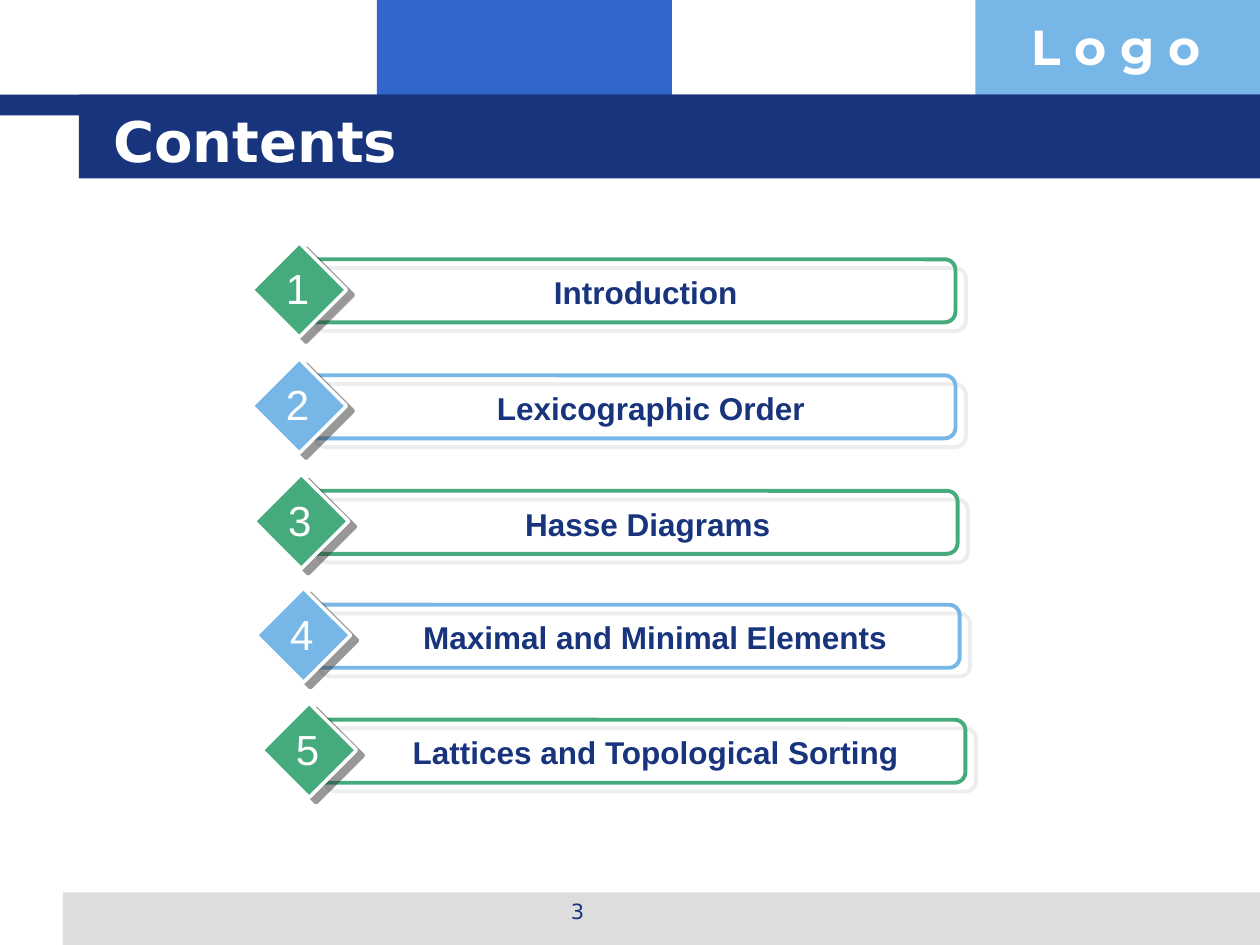
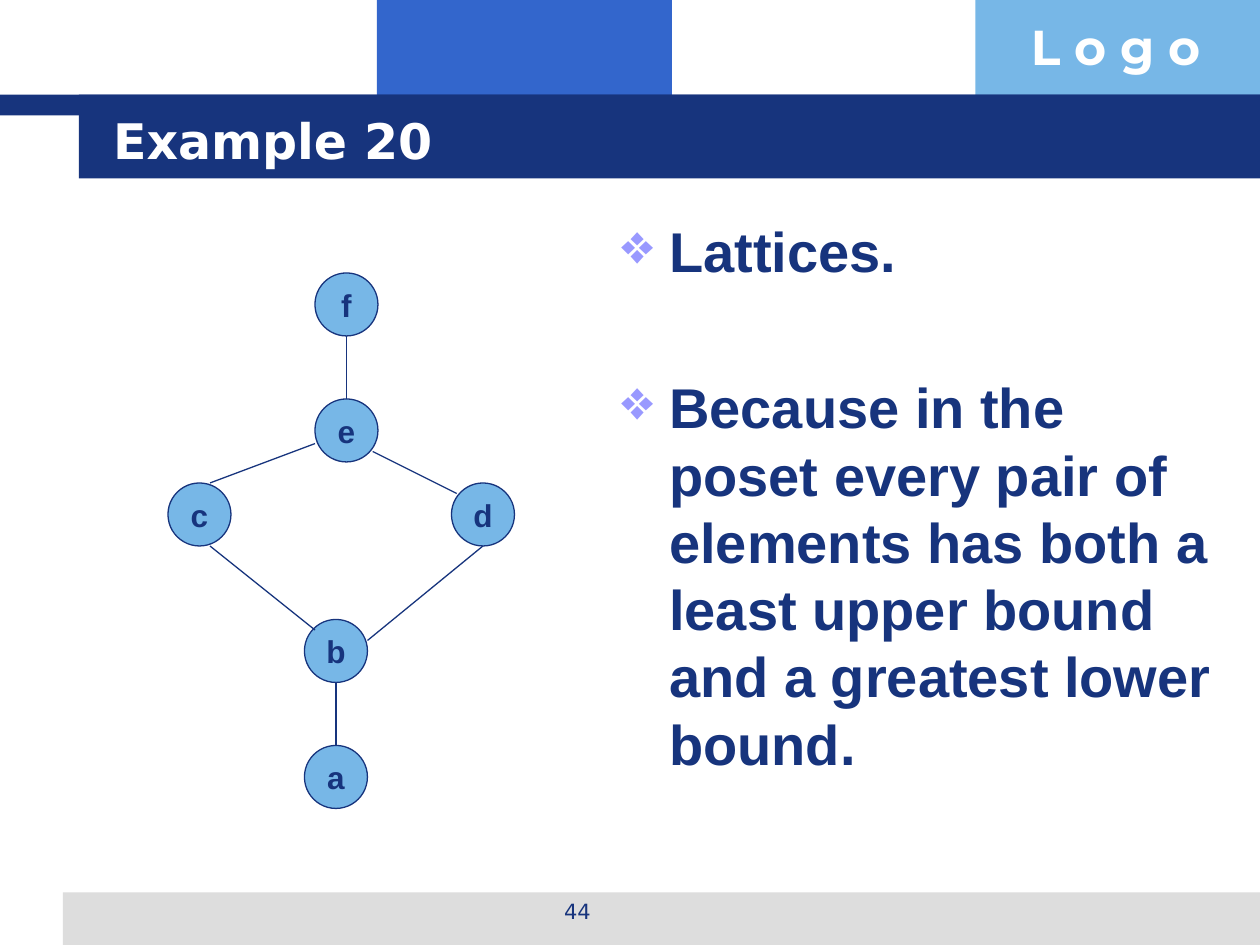
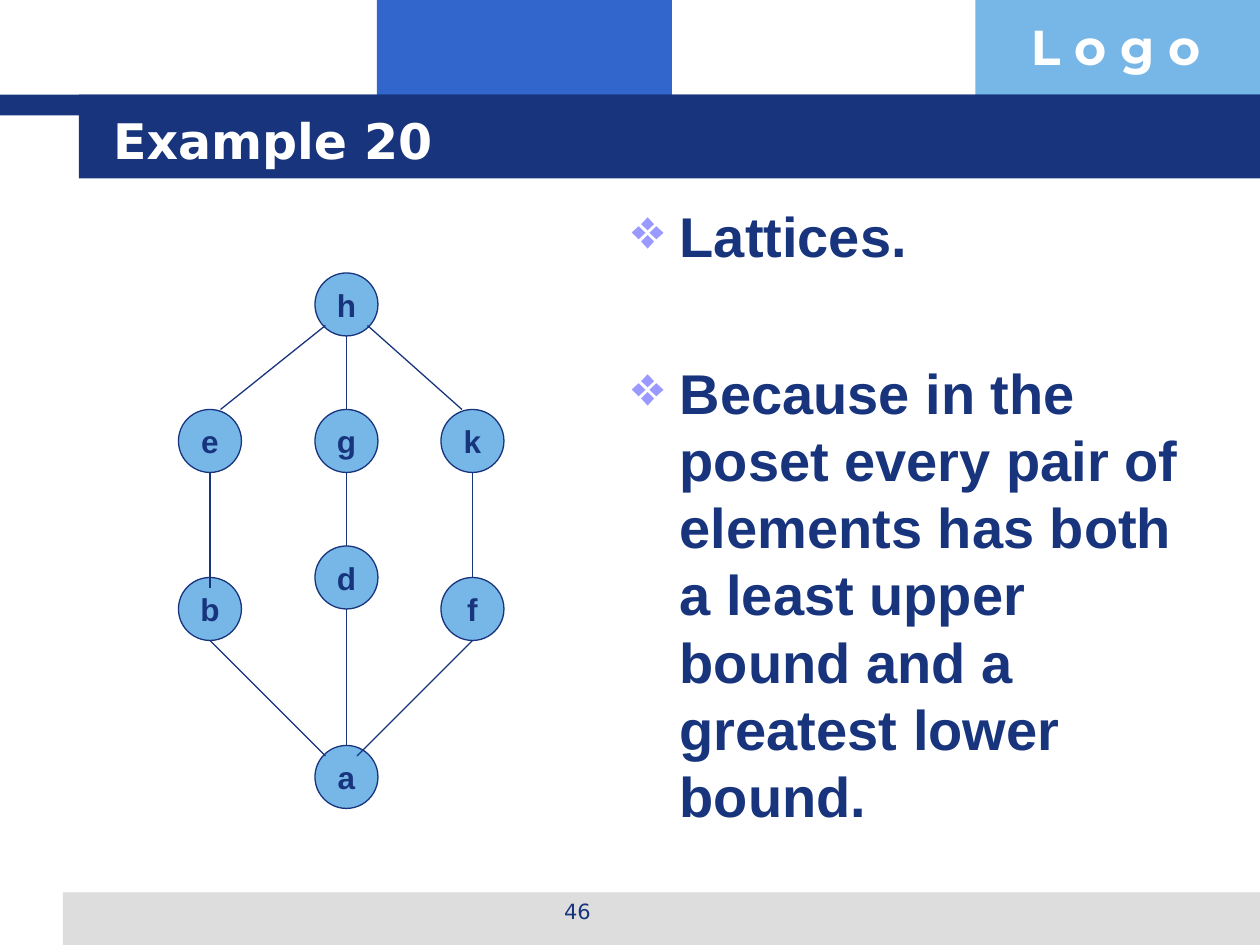
from dataclasses import dataclass
from typing import Any

from lxml import etree
from pptx import Presentation
from pptx import shapes as sh
from pptx import slide as sl
from pptx import util as u
from pptx.dml.color import RGBColor
from pptx.enum import shapes, text
from pptx.oxml import ns

NAVY = RGBColor(0x17, 0x34, 0x7D)
BLUE = RGBColor(0x33, 0x66, 0xCC)
SKY = RGBColor(0x77, 0xB7, 0xE7)
GREEN = RGBColor(0x45, 0xAB, 0x7D)
GREY = RGBColor(0xDD, 0xDD, 0xDD)
DARK = RGBColor(0x33, 0x33, 0x33)
LILAC = RGBColor(0x99, 0x99, 0xFF)
WHITE = RGBColor(0xFF, 0xFF, 0xFF)

WIDE, HIGH = u.Inches(10), u.Inches(7.5)
COLS, ROWS = 120, 90
NODE = 6
KIND = shapes.MSO_SHAPE
MID = text.MSO_ANCHOR.MIDDLE
CENTER = text.PP_ALIGN.CENTER
HEAD, SANS, MARK = "DejaVu Sans", "Arial", "Montserrat"


@dataclass(frozen=True)
class Box:
    left: float
    top: float
    width: float
    height: float

    def emu(self) -> list[int]:
        return [across(self.left), down(self.top),
                across(self.width), down(self.height)]


@dataclass(frozen=True)
class Type:
    size: float
    name: str = SANS
    color: RGBColor = NAVY
    bold: bool = True
    align: Any = None


@dataclass(frozen=True)
class Shade:
    color: RGBColor
    dist: float
    angle: int


@dataclass(frozen=True)
class Item:
    left: float
    top: float
    label: str


@dataclass(frozen=True)
class Node:
    label: str
    left: float
    top: float


@dataclass(frozen=True)
class Graph:
    page: int
    body: Box
    nodes: list[Node]
    edges: list[tuple[float, float, float, float]]


BANDS = [
    (Box(35.9, 0, 28.1, 11), BLUE),
    (Box(92.9, 0, 27.1, 11), SKY),
    (Box(6, 85, 114, 5), GREY),
    (Box(0, 9, 120, 2), NAVY),
    (Box(7.5, 9, 112.5, 8), NAVY),
]
ITEMS = [
    Item(29, 24.7, "Introduction"),
    Item(29, 35.75, "Lexicographic Order"),
    Item(29.2, 46.75, "Hasse Diagrams"),
    Item(29.4, 57.6, "Maximal and Minimal Elements"),
    Item(29.95, 68.55, "Lattices and Topological Sorting"),
]
POINTS = [
    ("Lattices.", 1.5),
    ("Because in the poset every pair of elements has both "
     "a least upper bound and a greatest lower bound.", 51.2),
]
GRAPHS = [
    Graph(
        44, Box(58, 20, 59, 61),
        [Node("e", 30, 38), Node("c", 16, 46), Node("d", 43, 46),
         Node("f", 30, 26), Node("a", 29, 71), Node("b", 29, 59)],
        [(30, 42.25, 20, 46), (32, 65, 32, 71), (35.5, 43, 43.5, 47),
         (33, 32, 33, 38), (20, 52, 30, 60), (35, 61, 46, 52)],
    ),
    Graph(
        46, Box(59, 18.6, 55, 64),
        [Node("e", 17, 39), Node("b", 17, 55), Node("k", 42, 39),
         Node("h", 30, 26), Node("a", 30, 71), Node("f", 42, 55),
         Node("g", 30, 39), Node("d", 30, 52)],
        [(31, 31, 21, 39), (35, 31, 44, 39), (20, 45, 20, 56),
         (45, 45, 45, 55), (20, 61, 31, 72), (45, 61, 34, 72),
         (33, 32, 33, 39), (33, 45, 33, 52), (33, 58, 33, 71)],
    ),
]


def across(cols: float) -> int:
    return round(WIDE * cols / COLS)


def down(rows: float) -> int:
    return round(HIGH * rows / ROWS)


def put(thing: Any, form: dict[str, Any]) -> None:
    for name, value in form.items():
        setattr(thing, name, value)


def child(base: Any, tag: str, **attrs: str) -> Any:
    return etree.SubElement(base, ns.qn(tag), attrs)


def ink(line: Any, color: RGBColor, width: float) -> None:
    line.color.rgb = color
    line.width = u.Pt(width)


def write(para: Any, words: str, kind: Type) -> None:
    para.alignment = kind.align
    run = para.add_run()
    run.text = words
    put(run.font, {"size": u.Pt(kind.size), "name": kind.name,
                   "bold": kind.bold})
    run.font.color.rgb = kind.color


def label(page: sl.Slide, box: Box, words: str, kind: Type,
          **form: Any) -> None:
    frame = page.shapes.add_textbox(*box.emu()).text_frame
    put(frame, {"word_wrap": True} | form)
    write(frame.paragraphs[0], words, kind)


def draw(page: sl.Slide, kind: Any, box: Box, fill: RGBColor | None = None,
         line: tuple[RGBColor, float] | None = None,
         shade: Shade | None = None) -> sh.autoshape.Shape:
    shape = page.shapes.add_shape(kind, *box.emu())
    shape.shadow.inherit = False
    if fill is None:
        shape.fill.background()
    else:
        shape.fill.solid()
        shape.fill.fore_color.rgb = fill
    if line is None:
        shape.line.fill.background()
    else:
        ink(shape.line, *line)
    if shade:
        base = shape._element.spPr.find(ns.qn("a:effectLst"))
        cast = child(base, "a:outerShdw", blurRad="0",
                     dist=str(u.Pt(shade.dist)), dir=str(shade.angle * 60000),
                     algn="ctr", rotWithShape="0")
        tint = child(cast, "a:srgbClr", val=str(shade.color))
        child(tint, "a:alpha", val="50000")
    return shape


def start(deck: Any, title: str, size: int, number: int) -> sl.Slide:
    page = deck.slides.add_slide(deck.slide_layouts[6])
    for box, color in BANDS:
        draw(page, KIND.RECTANGLE, box, color)
    label(page, Box(97, 1, 23, 6.8), "L o g o", Type(28, MARK, WHITE))
    label(page, Box(41, 85, 28, 4.2), str(number),
          Type(12, HEAD, NAVY, False, CENTER))
    label(page, Box(9.6, 9.6, 102.4, 7.4), title,
          Type(size, HEAD, WHITE), vertical_anchor=MID)
    return page


def entry(page: sl.Slide, index: int, item: Item) -> None:
    odd = index % 2
    color = GREEN if odd else SKY
    left, top = item.left, item.top
    bar = draw(page, KIND.ROUNDED_RECTANGLE, Box(left, top, 62, 6),
               line=(color, 2.25), shade=Shade(GREY, 7.8, 40))
    bar.adjustments[0] = 0.17
    draw(page, KIND.DIAMOND, Box(left - 5, top - 1.6, 9, 9), color,
         (WHITE, 2), Shade(DARK, 5, 37))
    label(page, Box(left + 3 - odd, top + 0.72, 60 + odd, 4.8), item.label,
          Type(18, align=CENTER))
    label(page, Box(left - 3, top - 0.25, 4.7, 6), str(index),
          Type(24, SANS, WHITE, False, CENTER), word_wrap=False)


def prose(page: sl.Slide, box: Box) -> None:
    frame = page.shapes.add_textbox(*box.emu()).text_frame
    frame.word_wrap = True
    for index, (words, gap) in enumerate(POINTS):
        para = frame.add_paragraph() if index else frame.paragraphs[0]
        write(para, words, Type(32))
        put(para, {"space_before": u.Pt(gap), "line_spacing": u.Pt(38.4)})
        props = para._p.get_or_add_pPr()
        dent = u.Inches(0.38)
        props.set("marL", str(dent))
        props.set("indent", str(-dent))
        child(child(props, "a:buClr"), "a:srgbClr", val=str(LILAC))
        child(props, "a:buChar", char="❖")


def diagram(page: sl.Slide, graph: Graph) -> None:
    for node in graph.nodes:
        dot = draw(page, KIND.OVAL, Box(node.left, node.top, NODE, NODE),
                   SKY, (NAVY, 0.75))
        put(dot.text_frame, {"word_wrap": False, "vertical_anchor": MID})
        write(dot.text_frame.paragraphs[0], node.label,
              Type(18, align=CENTER))
    for x, y, to_x, to_y in graph.edges:
        edge = page.shapes.add_connector(
            shapes.MSO_CONNECTOR.STRAIGHT,
            across(x), down(y), across(to_x), down(to_y))
        ink(edge.line, NAVY, 0.75)
        child(edge._element.spPr, "a:effectLst")


def main() -> None:
    deck = Presentation()
    put(deck, {"slide_width": WIDE, "slide_height": HIGH})
    page = start(deck, "Contents", 32, 3)
    for index, item in enumerate(ITEMS, 1):
        entry(page, index, item)
    for graph in GRAPHS:
        page = start(deck, "Example 20", 28, graph.page)
        diagram(page, graph)
        prose(page, graph.body)
    deck.save("out.pptx")


if __name__ == "__main__":
    main()
